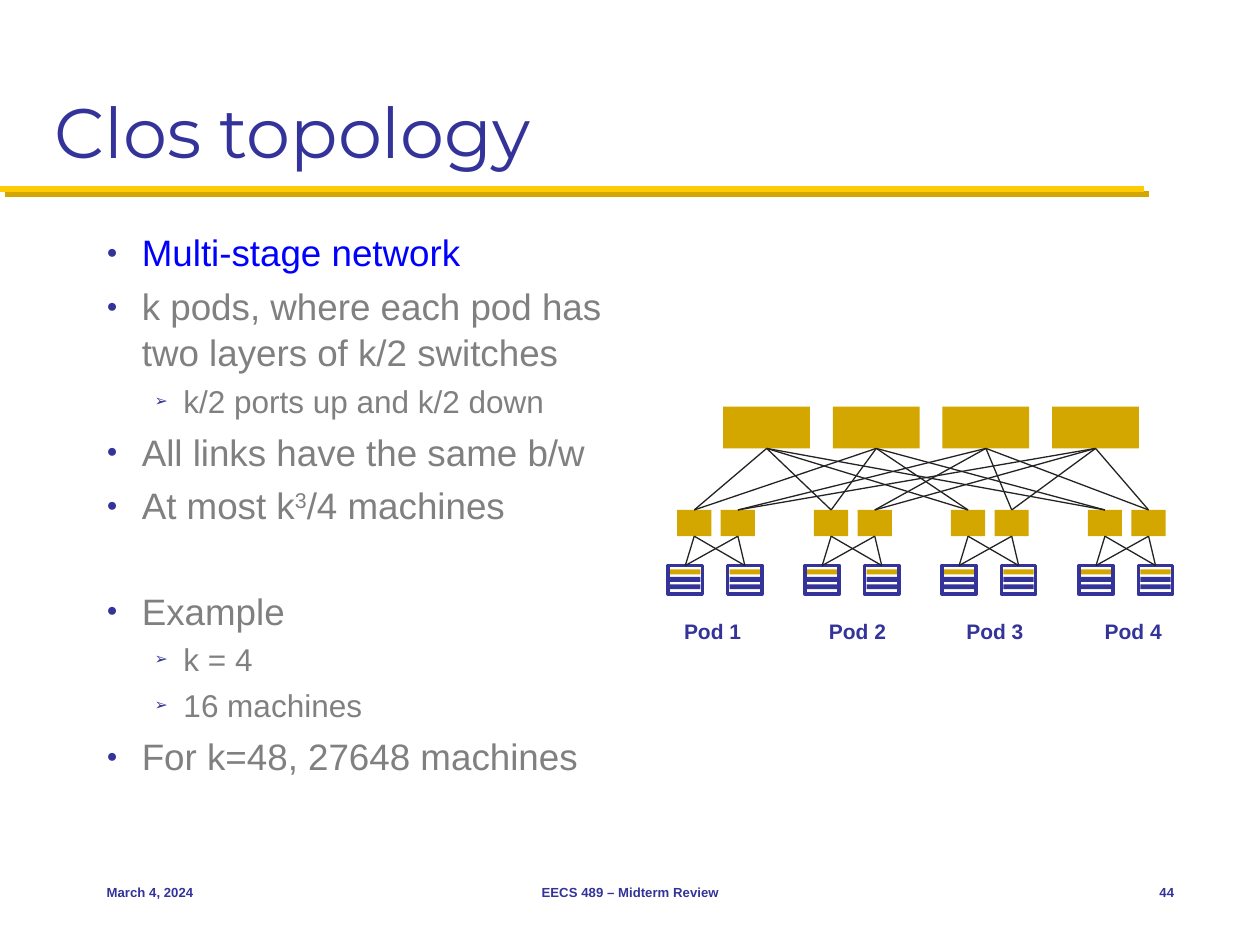
from itertools import product

from lxml import etree
from pptx import Presentation
from pptx.dml.color import RGBColor
from pptx.enum.shapes import MSO_CONNECTOR, MSO_SHAPE
from pptx.enum.text import MSO_ANCHOR, PP_ALIGN
from pptx.oxml.ns import qn
from pptx.util import Cm, Pt

RECT = MSO_SHAPE.RECTANGLE
STRAIGHT = MSO_CONNECTOR.STRAIGHT
TOP, MIDDLE, BOTTOM = MSO_ANCHOR.TOP, MSO_ANCHOR.MIDDLE, MSO_ANCHOR.BOTTOM
LEFT, CENTER, RIGHT = PP_ALIGN.LEFT, PP_ALIGN.CENTER, PP_ALIGN.RIGHT

BLUE, GOLD, YELLOW = "333399", "D3A600", "FFCB05"
BRIGHT, GRAY, INK = "0000FF", "808080", "232323"

LEVELS = [
    {"size": 21, "indent": 0.71, "hang": 0.71, "bullet": "●", "before": 4.6},
    {"size": 18, "indent": 1.55, "hang": 0.58, "bullet": "➢", "before": 3.6},
]
BODY = [
    (0, "Multi-stage network"),
    (0, "k pods, where each pod has two layers of k/2 switches"),
    (1, "k/2 ports up and k/2 down"),
    (0, "All links have the same b/w"),
    (0, "At most k^3^/4 machines"),
    (0, "Example"),
    (1, "k = 4"),
    (1, "16 machines"),
    (0, "For k=48, 27648 machines"),
]
FOOTERS = [
    ("March 4, 2024", 1.9, 5.29, LEFT),
    ("EECS 489 – Midterm Review", 8.68, 8.05, CENTER),
    ("44", 22.23, 1.69, RIGHT),
]

CORE_X, CORE_PITCH, CORE_Y, CORE_W, CORE_H = 14.58, 2.21, 8.2, 1.75, 0.84
POD_X, POD_PITCH = 13.47, 2.76
SWITCH_OFFSETS, SWITCH_Y, SWITCH_W, SWITCH_H = (0.18, 1.06), 10.28, 0.69, 0.53
RACK_OFFSETS, RACK_Y, RACK_W, RACK_H = (0, 1.2), 11.4, 0.69, 0.58
LABEL_X = (13.54, 16.46, 19.23, 22.02)


def rgb(color):
    return RGBColor.from_string(color)


def add_run(p, text, size=21, color=BLUE, font="Arial", bold=False, baseline=0):
    r = p.add_run()
    r.text = text
    r.font.size = Pt(size)
    r.font.name = font
    r.font.bold = bold
    r.font.color.rgb = rgb(color)
    if baseline:
        r.font._element.set("baseline", str(baseline * 1000))


def add_box(s, x, y, w, h, anchor=TOP, wrap=True):
    tf = s.shapes.add_textbox(Cm(x), Cm(y), Cm(w), Cm(h)).text_frame
    tf.word_wrap = wrap
    tf.vertical_anchor = anchor
    return tf


def add_text(s, text, x, y, w, h, anchor=TOP, align=LEFT, wrap=False, **fmt):
    p = add_box(s, x, y, w, h, anchor, wrap).paragraphs[0]
    p.alignment = align
    add_run(p, text, **fmt)


def add_bullet(p, char, indent, hang):
    pPr = p._p.get_or_add_pPr()
    pPr.set("marL", str(Cm(indent)))
    pPr.set("indent", str(-Cm(hang)))
    clr = etree.SubElement(pPr, qn("a:buClr"))
    etree.SubElement(clr, qn("a:srgbClr"), val=BLUE)
    etree.SubElement(pPr, qn("a:buSzPct"), val="50000")
    etree.SubElement(pPr, qn("a:buFont"), typeface="Arial")
    etree.SubElement(pPr, qn("a:buChar"), char=char)


def add_body(s):
    tf = add_box(s, 1.9, 4.48, 10.8, 12.27)
    for i, (level, text) in enumerate(BODY):
        p = tf.paragraphs[0] if i == 0 else tf.add_paragraph()
        look = LEVELS[level]
        add_bullet(p, look["bullet"], look["indent"], look["hang"])
        p.level = level
        p.line_spacing = 1.04
        if i:
            p.space_before = Pt(34 if text == "Example" else look["before"])
        for j, part in enumerate(text.split("^")):
            add_run(p, part, size=look["size"], color=GRAY if i else BRIGHT,
                    baseline=30 * (j % 2))


def add_rect(s, x, y, w, h, fill=None, line=None):
    sp = s.shapes.add_shape(RECT, Cm(x), Cm(y), Cm(w), Cm(h))
    sp.shadow.inherit = False
    if fill:
        sp.fill.solid()
        sp.fill.fore_color.rgb = rgb(fill)
    else:
        sp.fill.background()
    if line:
        sp.line.color.rgb = rgb(line)
        sp.line.width = Pt(2)
    else:
        sp.line.fill.background()


def add_line(s, start, end, color=INK, width=0.75):
    ends = [Cm(v) for v in (*start, *end)]
    line = s.shapes.add_connector(STRAIGHT, *ends)
    line.line.color.rgb = rgb(color)
    line.line.width = Pt(width)
    return etree.SubElement(line._element.spPr, qn("a:effectLst"))


def add_title_rule(s):
    effects = add_line(s, (0, 3.81), (23.06, 3.81), YELLOW, 3.5)
    shadow = etree.SubElement(effects, qn("a:outerShdw"), dist=str(Pt(4.2)),
                              dir="2700000", algn="ctr", rotWithShape="0")
    etree.SubElement(shadow, qn("a:srgbClr"), val=GOLD)


def add_rack(s, x):
    for i, color in enumerate((GOLD, BLUE, BLUE)):
        add_rect(s, x + 0.04, RACK_Y + 0.08 + 0.15 * i, 0.61, 0.1, fill=color)
    add_rect(s, x, RACK_Y, RACK_W, RACK_H, line=BLUE)


def add_pod(s, x, core_centers):
    switches = [x + dx for dx in SWITCH_OFFSETS]
    racks = [x + dx for dx in RACK_OFFSETS]
    for rack in racks:
        add_rack(s, rack)
    for i, switch in enumerate(switches):
        add_rect(s, switch, SWITCH_Y, SWITCH_W, SWITCH_H, fill=GOLD)
        for core in core_centers[2 * i:2 * i + 2]:
            add_line(s, (switch + SWITCH_W / 2, SWITCH_Y), (core, CORE_Y + CORE_H))
    for rack, switch in product(racks, switches):
        add_line(s, (rack + RACK_W / 2, RACK_Y),
                 (switch + SWITCH_W / 2, SWITCH_Y + SWITCH_H))


def add_network(s):
    cores = [CORE_X + CORE_PITCH * i for i in range(4)]
    for x in cores:
        add_rect(s, x, CORE_Y, CORE_W, CORE_H, fill=GOLD)
    centers = [x + CORE_W / 2 for x in cores]
    for i, label_x in enumerate(LABEL_X):
        add_pod(s, POD_X + POD_PITCH * i, centers)
        add_text(s, f"Pod {i + 1}", label_x, 12.34, 1.68, 0.76, size=12, bold=True)


def main():
    prs = Presentation()
    prs.slide_width, prs.slide_height = Cm(25.4), Cm(19.05)
    s = prs.slides.add_slide(prs.slide_layouts[6])
    add_title_rule(s)
    add_text(s, "Clos topology", 0.85, 0.42, 23.7, 3.18, anchor=BOTTOM, wrap=True,
             size=40, font="Montserrat")
    add_body(s)
    for text, x, w, align in FOOTERS:
        add_text(s, text, x, 17.36, w, 1.27, anchor=MIDDLE, align=align, wrap=True,
                 size=7.5, bold=True)
    add_network(s)
    prs.save("out.pptx")


if __name__ == "__main__":
    main()
